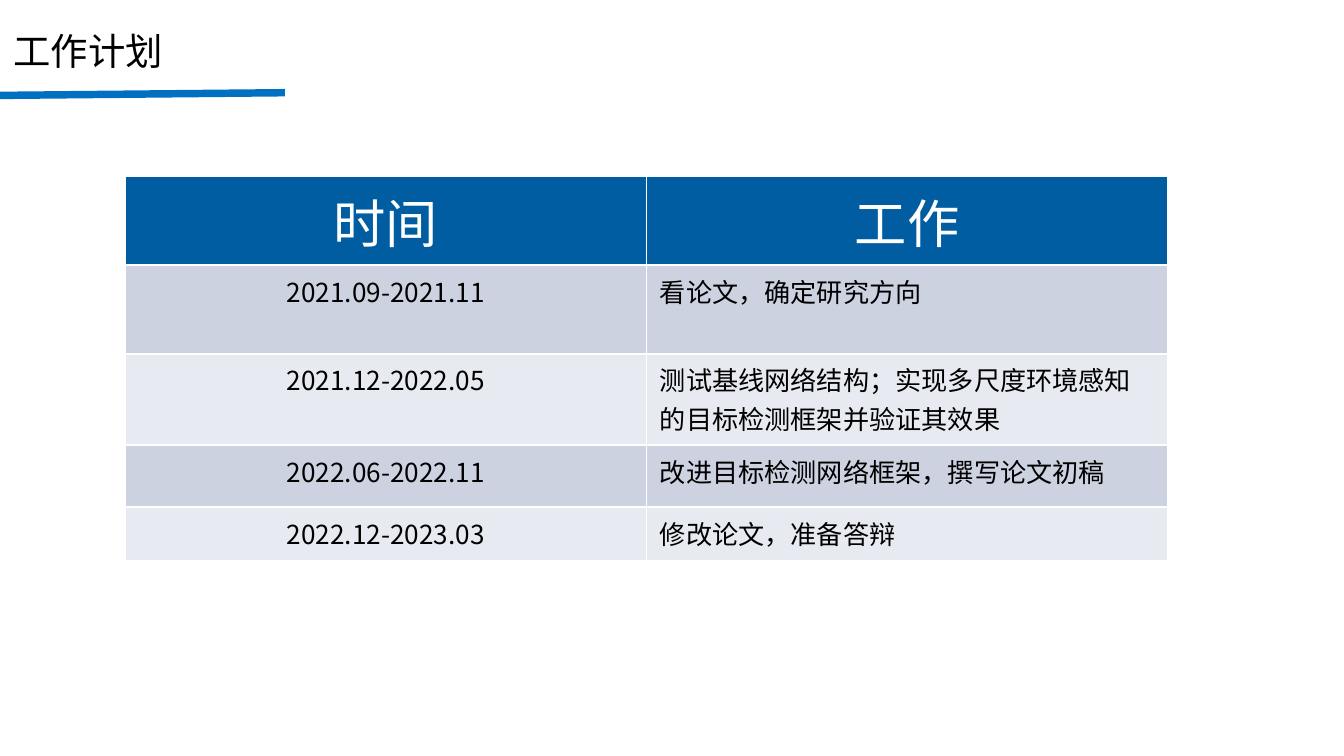
from pptx import Presentation
from pptx.dml.color import RGBColor
from pptx.enum.shapes import MSO_CONNECTOR
from pptx.enum.text import MSO_ANCHOR, PP_ALIGN
from pptx.oxml.ns import qn
from pptx.util import Inches, Pt
from lxml.etree import SubElement

COLORS = {
    "text": "000000",
    "header": "005DA2",
    "header_text": "FFFFFF",
    "odd_row": "CCD2E0",
    "even_row": "E7EAF0",
    "rule": "0170C1",
}
CJK_FONT = "Noto Sans CJK SC"
HEADINGS = ("时间", "工作")
SCHEDULE = [
    ("2021.09-2021.11", "看论文，确定研究方向"),
    ("2021.12-2022.05", "测试基线网络结构；实现多尺度环境感知的目标检测框架并验证其效果"),
    ("2022.06-2022.11", "改进目标检测网络框架，撰写论文初稿"),
    ("2022.12-2023.03", "修改论文，准备答辩"),
]
ROW_HEIGHTS = (0.65, 0.66, 0.68, 0.46, 0.4)


def color(name):
    return RGBColor.from_string(COLORS[name])


def format_para(para, size, color_name, align, font_name=CJK_FONT):
    para.alignment = align
    font = para.font
    font.name = font_name
    font.size = Pt(size)
    font.bold = False
    font.color.rgb = color(color_name)
    defaults = para._p.pPr.find(qn("a:defRPr"))
    SubElement(defaults, qn("a:ea")).set("typeface", CJK_FONT)


def add_heading(page, left, top, width, height):
    title = page.shapes.title
    title.left, title.top = Inches(left), Inches(top)
    title.width, title.height = Inches(width), Inches(height)
    frame = title.text_frame
    frame.text = "工作计划"
    frame.word_wrap = True
    frame.vertical_anchor = MSO_ANCHOR.MIDDLE
    format_para(frame.paragraphs[0], 20, "text", PP_ALIGN.LEFT, "Arial")

    rule = page.shapes.add_connector(
        MSO_CONNECTOR.STRAIGHT,
        Inches(left), Inches(top + 0.55), Inches(left + 2.12), Inches(top + 0.53),
    )
    rule.line.color.rgb = color("rule")
    rule.line.width = Pt(4)
    SubElement(rule._element.spPr, qn("a:effectLst"))


def add_schedule(page, left, top, width):
    rows = [HEADINGS, *SCHEDULE]
    table = page.shapes.add_table(
        len(rows), len(HEADINGS),
        Inches(left), Inches(top), Inches(width), Inches(sum(ROW_HEIGHTS)),
    ).table
    for row_index, (texts, height) in enumerate(zip(rows, ROW_HEIGHTS)):
        table.rows[row_index].height = Inches(height)
        is_header = row_index == 0
        fill = "header" if is_header else "odd_row" if row_index % 2 else "even_row"
        for column_index, text in enumerate(texts):
            cell = table.cell(row_index, column_index)
            cell.text = text
            cell.fill.solid()
            cell.fill.fore_color.rgb = color(fill)
            centered = is_header or column_index == 0
            format_para(
                cell.text_frame.paragraphs[0],
                28 if is_header else 14,
                "header_text" if is_header else "text",
                PP_ALIGN.CENTER if centered else PP_ALIGN.LEFT,
            )


def main():
    deck = Presentation()
    deck.slide_width = Inches(10)
    deck.slide_height = deck.slide_width * 9 // 16
    page = deck.slides.add_slide(deck.slide_layouts[5])
    add_schedule(page, 0.93, 1.31, 7.76)
    add_heading(page, 0, 0.16, 8.51, 0.44)
    deck.save("out.pptx")


if __name__ == "__main__":
    main()
